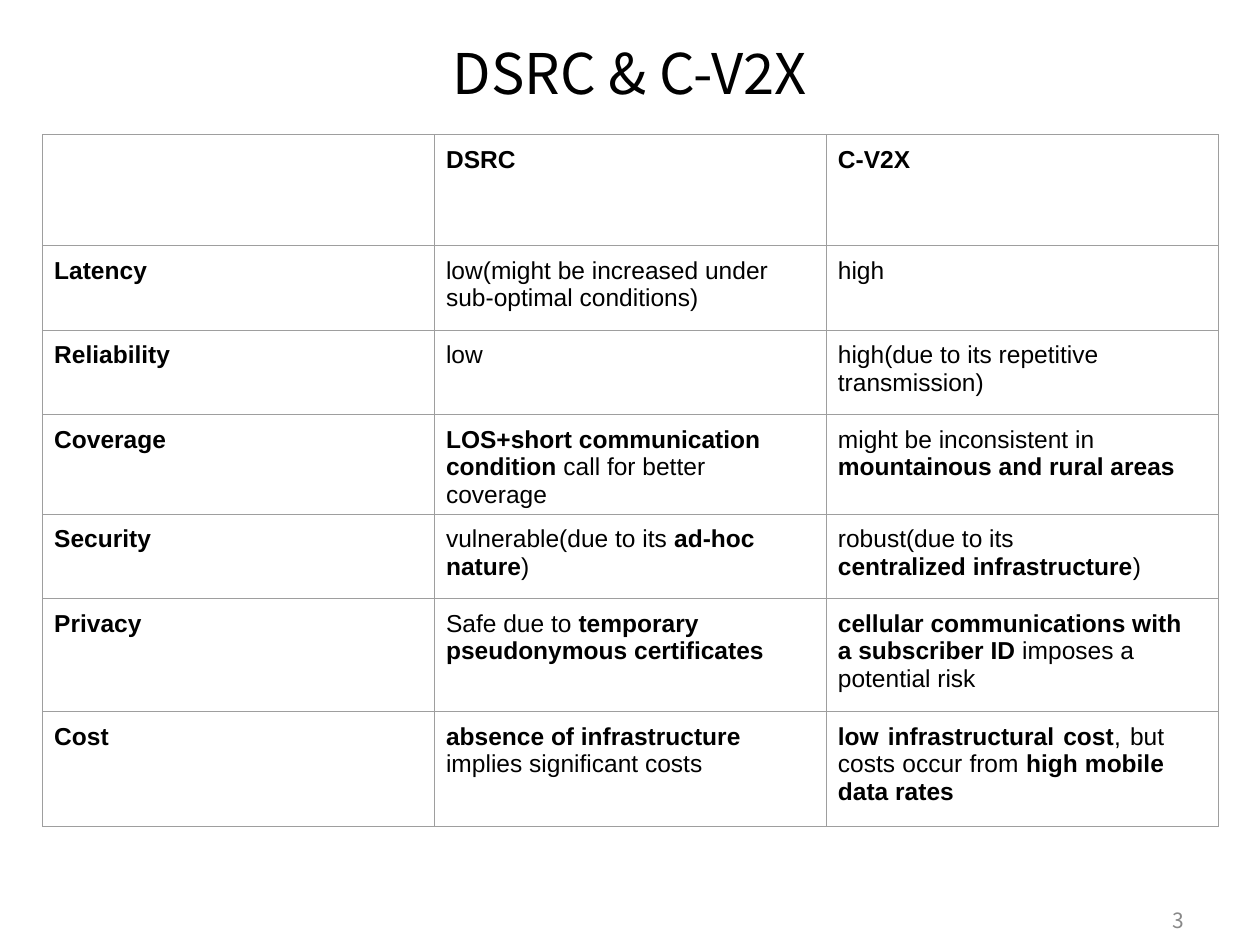
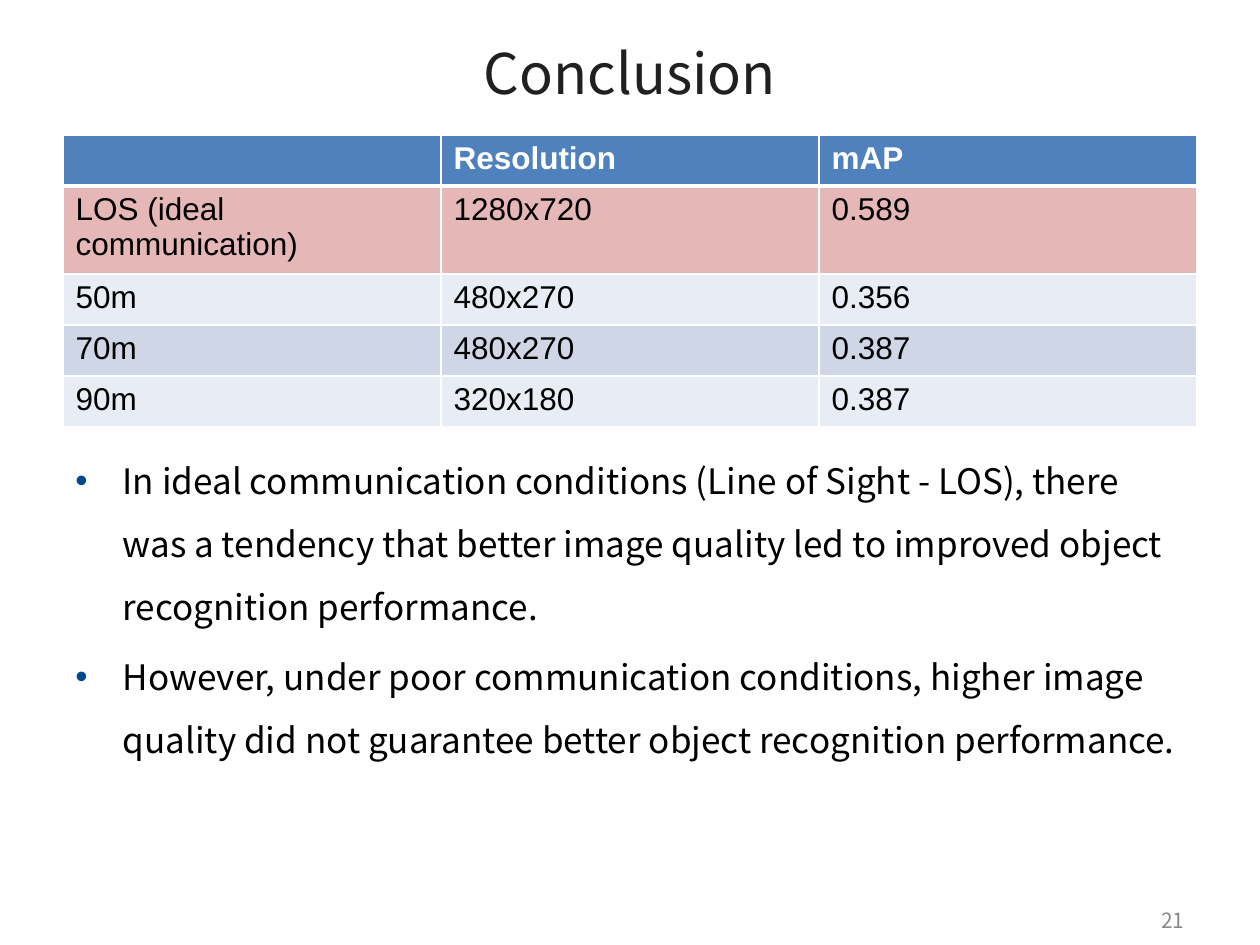
from lxml import etree
from pptx import Presentation
from pptx import util as u
from pptx.dml.color import RGBColor
from pptx.enum import text
from pptx.oxml import ns

COLORS = {
    "black": "000000", "title": "202020", "muted": "888888", "white": "FFFFFF",
    "grid": "9E9E9E", "header": "4F81BD", "highlight": "E5B8B7",
    "light": "E8ECF4", "band": "CFD7E7", "bullet": "00498E",
}
SANS, CJK = "Arial", "Noto Sans CJK KR"
COLS, ROWS = 100, 75
ALIGN, ANCHOR = text.PP_ALIGN, text.MSO_ANCHOR


def add_xml(parent, tag, **attrs):
    return etree.SubElement(parent, ns.qn(tag), attrs)


class Deck:
    def __init__(self):
        self.prs = Presentation()
        self.prs.slide_width, self.prs.slide_height = u.Inches(10), u.Inches(7.5)
        self.s = None

    def x(self, cols):
        return round(self.prs.slide_width * cols / COLS)

    def y(self, rows):
        return round(self.prs.slide_height * rows / ROWS)

    def slide(self, title, number, color="black"):
        self.s = self.prs.slides.add_slide(self.prs.slide_layouts[6])
        self.label(title, (5, 3, 90, 5.4), 32, color, ALIGN.CENTER)
        self.label(number, (71.7, 71, 23.3, 4), 12, "muted", ALIGN.RIGHT)

    def box(self, at, anchor):
        left, top, width, height = at
        sp = self.s.shapes.add_textbox(self.x(left), self.y(top), self.x(width), self.y(height))
        tf = sp.text_frame
        tf.word_wrap = True
        tf.vertical_anchor = anchor
        return tf

    def runs(self, p, content, size, color, font=CJK, bold=False):
        for i, part in enumerate(content.split("**")):
            if part:
                r = p.add_run()
                r.text = part
                r.font.size, r.font.name = u.Pt(size), font
                r.font.bold = bold or i % 2 == 1
                r.font.color.rgb = RGBColor.from_string(COLORS[color])

    def paragraphs(self, tf, lines):
        for i, line in enumerate(lines):
            yield (tf.add_paragraph() if i else tf.paragraphs[0]), line

    def label(self, content, at, size, color, align):
        p = self.box(at, ANCHOR.MIDDLE).paragraphs[0]
        p.alignment = align
        self.runs(p, content, size, color)

    def bullets(self, lines, at, size=20):
        tf = self.box(at, ANCHOR.TOP)
        for p, line in self.paragraphs(tf, lines):
            pPr = p._p.get_or_add_pPr()
            indent = self.x(3.75)
            pPr.set("marL", str(indent))
            pPr.set("indent", str(-indent))
            add_xml(add_xml(pPr, "a:buClr"), "a:srgbClr", val=COLORS["bullet"])
            add_xml(pPr, "a:buFont", typeface=SANS)
            add_xml(pPr, "a:buChar", char="•")
            p.line_spacing = 1.5
            if p._p is not tf.paragraphs[0]._p:
                p.space_before = u.Pt(4)
            self.runs(p, line, size, "black")

    def table(self, data, left, top, col_width, heights):
        n = len(data[0])
        frame = self.s.shapes.add_table(len(data), n, self.x(left), self.y(top),
                                        self.x(col_width * n), self.y(sum(heights)))
        tbl = frame.table
        tbl.first_row = tbl.horz_banding = False
        for col in tbl.columns:
            col.width = self.x(col_width)
        for row, height in zip(tbl.rows, heights):
            row.height = self.y(height)
        return tbl

    def borders(self, cell, color, **widths):
        tcPr = cell._tc.get_or_add_tcPr()
        for side in "LRTB":
            ln = add_xml(tcPr, f"a:ln{side}", w=str(u.Pt(widths[side])))
            add_xml(add_xml(ln, "a:solidFill"), "a:srgbClr", val=COLORS[color])

    def comparison_table(self, data, left, top, col_width, heights):
        tbl = self.table(data, left, top, col_width, heights)
        for i, row in enumerate(data):
            for j, content in enumerate(row):
                cell = tbl.cell(i, j)
                cell.margin_left = cell.margin_right = cell.margin_bottom = 0
                cell.margin_top = self.y(0.9)
                self.borders(cell, "grid", **dict.fromkeys("LRTB", 0.75))
                cell.fill.background()
                for p, line in self.paragraphs(cell.text_frame, content.split("\n")):
                    pPr = p._p.get_or_add_pPr()
                    pPr.set("marL", str(self.x(0.9)))
                    pPr.set("marR", str(self.x(2)))
                    self.runs(p, line, 14, "black", SANS, bold=i == 0 or j == 0)
        return tbl

    def banded_table(self, data, fills, left, top, col_width, heights):
        tbl = self.table(data, left, top, col_width, heights)
        for i, (row, fill) in enumerate(zip(data, fills)):
            for j, content in enumerate(row):
                cell = tbl.cell(i, j)
                self.borders(cell, "white", L=1, R=1, T=3 if i == 1 else 1, B=1 if i else 3)
                cell.fill.solid()
                cell.fill.fore_color.rgb = RGBColor.from_string(COLORS[fill])
                self.runs(cell.text_frame.paragraphs[0], content, 18,
                          "black" if i else "white", SANS, bold=i == 0)


TECHNOLOGIES = [
    ("", "DSRC", "C-V2X"),
    ("Latency", "low(might be increased under sub-optimal conditions)", "high"),
    ("Reliability", "low", "high(due to its repetitive transmission)"),
    ("Coverage", "**LOS+short communication condition **call for better coverage",
     "might be inconsistent in\n**mountainous and rural areas**"),
    ("Security", "vulnerable(due to its **ad-hoc nature**)",
     "robust(due to its\n**centralized infrastructure**)"),
    ("Privacy", "Safe due to **temporary pseudonymous certificates**",
     "**cellular communications with a subscriber ID **imposes a potential risk"),
    ("Cost", "**absence of infrastructure**\nimplies significant costs",
     "**low infrastructural cost**, but costs occur from **high mobile data rates**"),
]
RESULTS = [
    ("", "Resolution", "mAP"),
    ("LOS (ideal communication)", "1280x720", "0.589"),
    ("50m", "480x270", "0.356"),
    ("70m", "480x270", "0.387"),
    ("90m", "320x180", "0.387"),
]
FINDINGS = [
    "In ideal communication conditions (Line of Sight - LOS), there was a tendency that "
    "better image quality led to improved object recognition performance.",
    "However, under poor communication conditions, higher image quality did not guarantee "
    "better object recognition performance.",
]


def main():
    deck = Deck()

    deck.slide("DSRC & C-V2X", "3")
    tbl = deck.comparison_table(TECHNOLOGIES, 3.4, 10.7, 31.1, [8.8] + [6.7] * 4 + [9, 9.1])
    cost = tbl.cell(6, 2).text_frame.paragraphs[0]
    cost.alignment = ALIGN.JUSTIFY
    cost._p.get_or_add_pPr().set("marR", str(deck.x(4.3)))

    deck.slide("Conclusion", "21", "title")
    deck.banded_table(RESULTS, ["header", "highlight", "light", "band", "light"],
                      5, 10.7, 30, [4.05] * 5)
    deck.bullets(FINDINGS, (5, 34.3, 90, 29.9))

    deck.prs.save("out.pptx")


if __name__ == "__main__":
    main()
